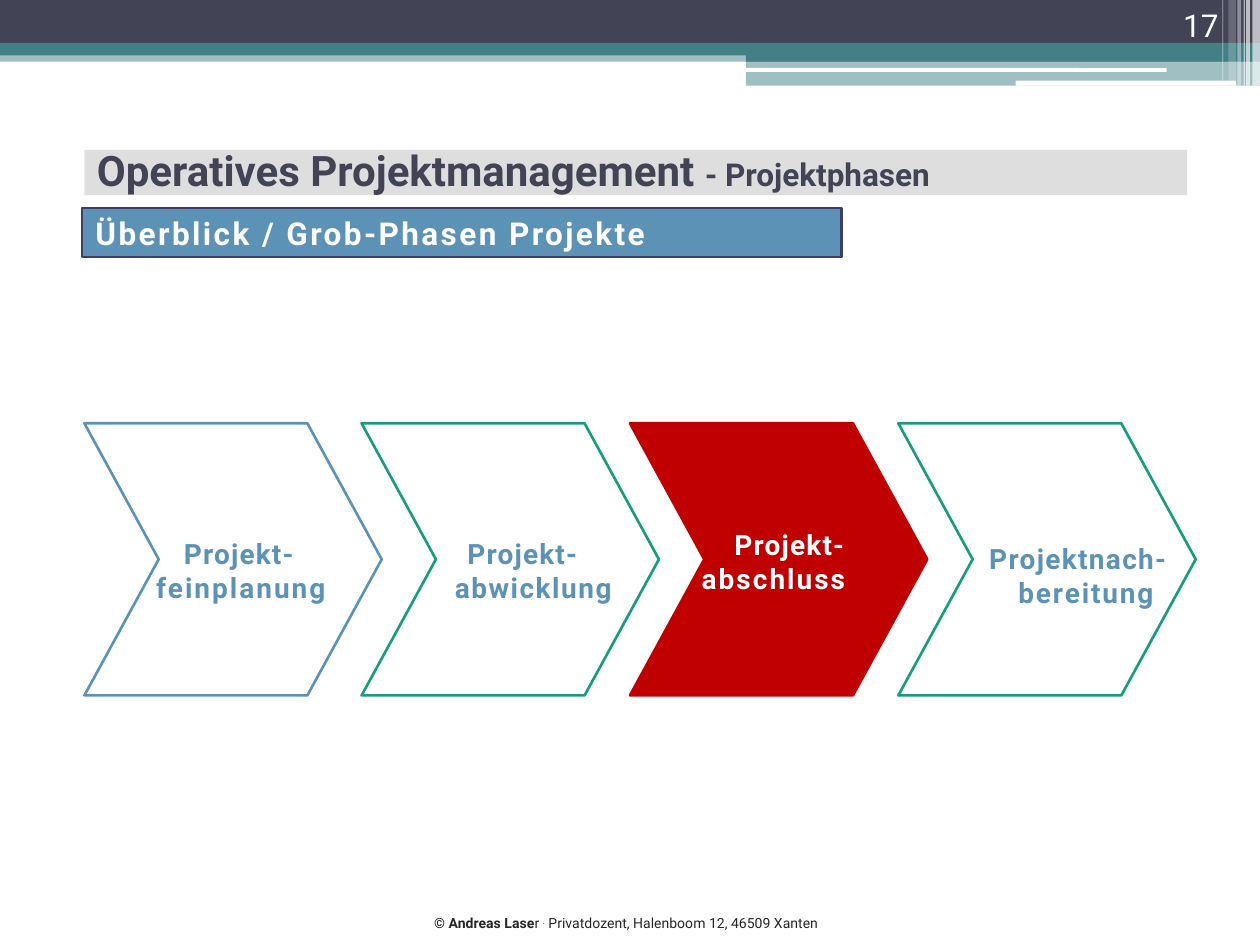
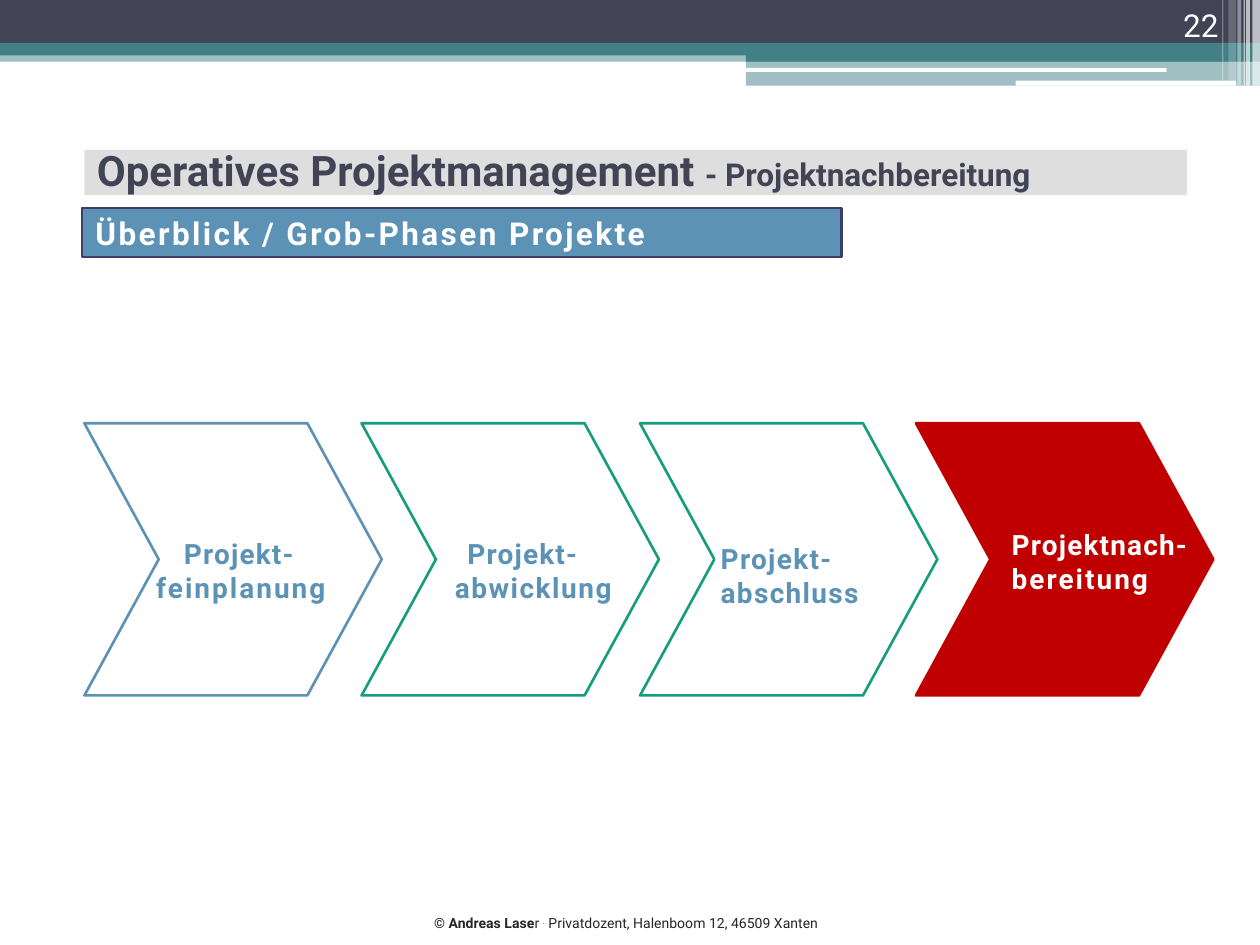
from dataclasses import dataclass

from lxml import etree
from pptx import Presentation
from pptx.dml.color import RGBColor
from pptx.enum.shapes import MSO_SHAPE
from pptx.enum.text import MSO_ANCHOR, PP_ALIGN
from pptx.oxml.ns import qn
from pptx.util import Inches, Pt

RECT, ROUND = MSO_SHAPE.RECTANGLE, MSO_SHAPE.ROUNDED_RECTANGLE
TOP, MIDDLE, BOTTOM = MSO_ANCHOR.TOP, MSO_ANCHOR.MIDDLE, MSO_ANCHOR.BOTTOM
LEFT, CENTER, RIGHT = PP_ALIGN.LEFT, PP_ALIGN.CENTER, PP_ALIGN.RIGHT

WHITE = RGBColor(0xFF, 0xFF, 0xFF)
INK = RGBColor(0x42, 0x44, 0x56)
TEAL = RGBColor(0x43, 0x80, 0x86)
GREY = RGBColor(0xDE, 0xDE, 0xDE)
BLUE = RGBColor(0x5C, 0x92, 0xB5)
NAVY = RGBColor(0x3D, 0x3E, 0x66)
GREEN = RGBColor(0x17, 0x9C, 0x7D)
RED = RGBColor(0xC0, 0x00, 0x00)
FOOTER_INK = RGBColor(0x26, 0x26, 0x26)
FONT = "Roboto"

# Header bands: shape, left, top, width, height, colour, opacity in percent
BANDS = [
    (RECT, 0, 0.4, 10, 0.09, TEAL, 50),
    (RECT, 0, 0, 10, 0.34, INK, 100),
    (RECT, 0, 0.34, 10, 0.1, TEAL, 100),
    (RECT, 5.92, 0.39, 4.08, 0.1, TEAL, 100),
    (RECT, 5.92, 0.48, 4.08, 0.2, TEAL, 50),
    (ROUND, 5.91, 0.54, 3.35, 0.03, WHITE, 100),
    (ROUND, 8.06, 0.64, 1.75, 0.04, WHITE, 100),
]
# Vertical stripes at the right edge: left, width, height, opacity in percent
STRIPES = [
    (9.94, 0.06, 0.68, 65), (9.89, 0.03, 0.68, 65), (9.87, 0.01, 0.68, 60),
    (9.82, 0.03, 0.68, 40), (9.75, 0.06, 0.64, 20), (9.7, 0.01, 0.64, 30),
]

# Phase chevrons
CHEVRON_TOP, CHEVRON_WIDTH, CHEVRON_HEIGHT, CHEVRON_POINT = 3.36, 2.36, 2.16, 0.59


@dataclass
class Span:
    text: str
    size: float
    colour: RGBColor
    bold: bool = False
    spacing: float = 0
    baseline: int = 0


@dataclass
class Phase:
    left: float
    outline: RGBColor
    label_box: tuple
    lines: list  # (text, letter spacing) per span
    indent: tuple
    align: PP_ALIGN = LEFT
    active: bool = False
    split: bool = False  # each line as its own paragraph


class Deck:
    def __init__(self):
        self.deck = Presentation()
        self.deck.slide_width, self.deck.slide_height = Inches(10), Inches(7.5)
        self.page = None

    def style(self, shape, fill=None, line=None, opacity=100):
        shape.shadow.inherit = False
        if fill is None:
            shape.fill.background()
        else:
            shape.fill.solid()
            shape.fill.fore_color.rgb = fill
            if opacity < 100:
                colour = shape._element.spPr.find(".//" + qn("a:srgbClr"))
                etree.SubElement(colour, qn("a:alpha"), val=str(opacity * 1000))
        if line is None:
            shape.line.fill.background()
        else:
            shape.line.color.rgb = line
            shape.line.width = Pt(1.5)

    def block(self, kind, left, top, width, height, fill, line=None, opacity=100):
        shape = self.page.shapes.add_shape(
            kind, Inches(left), Inches(top), Inches(width), Inches(height))
        self.style(shape, fill, line, opacity)
        return shape

    def chevron(self, left, fill, line):
        right, bottom = left + CHEVRON_WIDTH, CHEVRON_TOP + CHEVRON_HEIGHT
        middle, shoulder = CHEVRON_TOP + CHEVRON_HEIGHT / 2, right - CHEVRON_POINT
        points = [(left, CHEVRON_TOP), (left + CHEVRON_POINT, middle), (left, bottom),
                  (shoulder, bottom), (right, middle)]
        builder = self.page.shapes.build_freeform(
            Inches(shoulder), Inches(CHEVRON_TOP), scale=1.0)
        builder.add_line_segments([(Inches(x), Inches(y)) for x, y in points])
        self.style(builder.convert_to_shape(), fill, line)

    def fill_text(self, shape, paragraphs, anchor=TOP, align=LEFT, indent=(0, 0),
                  wrap=True):
        frame = shape.text_frame
        frame.word_wrap, frame.vertical_anchor = wrap, anchor
        margin, first = indent
        for index, spans in enumerate(paragraphs):
            para = frame.add_paragraph() if index else frame.paragraphs[0]
            para.alignment = align
            properties = para._p.get_or_add_pPr()
            properties.set("marL", str(Inches(margin)))
            properties.set("indent", str(Inches(first)))
            for span in spans:
                run = para.add_run()
                run.text = span.text
                font = run.font
                font.name, font.size, font.bold = FONT, Pt(span.size), span.bold
                font.color.rgb = span.colour
                run_properties = run._r.get_or_add_rPr()
                if span.spacing:
                    run_properties.set("spc", str(round(span.spacing * 100)))
                if span.baseline:
                    run_properties.set("baseline", str(span.baseline * 1000))

    def text(self, left, top, width, height, paragraphs, inset=True, **options):
        box = self.page.shapes.add_textbox(
            Inches(left), Inches(top), Inches(width), Inches(height))
        if not inset:
            frame = box.text_frame
            frame.margin_left = frame.margin_right = 0
            frame.margin_top = frame.margin_bottom = 0
        self.fill_text(box, paragraphs, **options)

    def phase(self, phase):
        colour = WHITE if phase.active else BLUE
        self.chevron(phase.left, RED if phase.active else None, phase.outline)
        spans = [Span(text, 16, colour, True, spacing) for text, spacing in phase.lines]
        paragraphs = [[span] for span in spans] if phase.split else [spans]
        self.text(*phase.label_box, paragraphs, inset=False,
                  align=phase.align, indent=phase.indent)

    def start_page(self, number, topic):
        self.page = self.deck.slides.add_slide(self.deck.slide_layouts[6])
        # Header bands and stripes
        for kind, left, top, width, height, colour, opacity in BANDS:
            self.block(kind, left, top, width, height, colour, opacity=opacity)
        for left, width, height, opacity in STRIPES:
            self.block(RECT, left, 0, width, height, WHITE, opacity=opacity)
        # Footer
        self.text(3.32, 7.21, 3.37, 0.24, [[
            Span(" © Andreas Lase", 8, FOOTER_INK, True),
            Span("r ", 8, FOOTER_INK),
            Span(".", 8, FOOTER_INK, baseline=30),
            Span(" Privatdozent, Halenboom 12, 46509 Xanten", 8, FOOTER_INK),
        ]], wrap=False)
        # Title and page number
        self.block(RECT, 0.67, 1.19, 8.75, 0.36, GREY)
        self.text(0.67, 0.76, 8.84, 1.17, [[
            Span("Operatives Projektmanagement ", 24, INK, True),
            Span("- " + topic, 18, INK, True),
        ]], anchor=MIDDLE)
        self.text(8.94, 0, 0.83, 0.4, [[Span(str(number), 18, WHITE)]],
                  anchor=BOTTOM, align=RIGHT)
        # Subtitle bar
        bar = self.block(RECT, 0.65, 1.65, 6.03, 0.39, BLUE, NAVY)
        self.fill_text(
            bar, [[Span("Überblick / Grob-Phasen Projekte", 18, WHITE, True, 1.4)]],
            anchor=MIDDLE, indent=(0.01, 0))


PLANNING = Phase(0.67, BLUE, (1.23, 4.26, 1.55, 0.54),
                 [("Projekt- ", 0.7), ("feinplanung", 1.2)], (0.01, 0.22))
EXECUTION = Phase(2.87, GREEN, (3.6, 4.26, 1.4, 0.54),
                  [("Projekt- ", 0.7), ("abwicklung", 0.9)], (0.01, 0.1))

PAGES = [
    (17, "Projektphasen", [
        PLANNING, EXECUTION,
        Phase(5, RED, (5.56, 4.19, 1.46, 0.54),
              [("Projekt- ", 0.7), ("abschluss", 1.2)], (0.01, 0.26), active=True),
        Phase(7.13, GREEN, (7.68, 4.3, 1.74, 0.54),
              [("Projektnach- ", 0.8), ("bereitung", 1.1)], (0.14, -0.12), CENTER),
    ]),
    (22, "Projektnachbereitung", [
        PLANNING, EXECUTION,
        Phase(5.08, GREEN, (5.7, 4.3, 1.5, 0.54),
              [("Projekt-", 0.8), ("abschluss", 0.8)], (0.14, -0.12), split=True),
        Phase(7.27, RED, (7.76, 4.19, 1.8, 0.54),
              [("Projektnach-", 0.7), ("bereitung", 1.2)], (0.01, 0.26),
              active=True, split=True),
    ]),
]


def main():
    deck = Deck()
    for number, topic, phases in PAGES:
        deck.start_page(number, topic)
        for phase in phases:
            deck.phase(phase)
    deck.deck.save("out.pptx")


if __name__ == "__main__":
    main()
